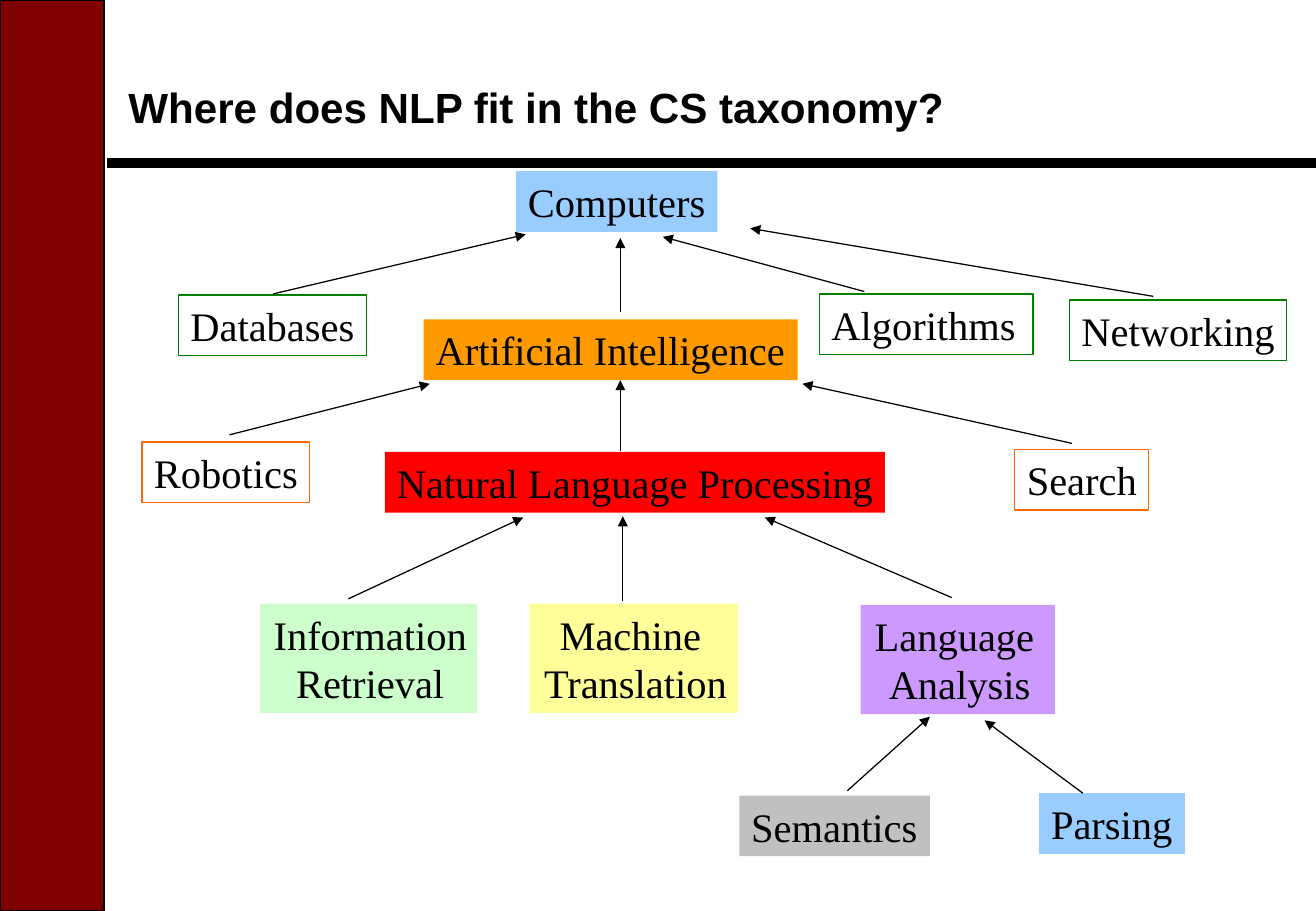
import dataclasses
import typing

import lxml.etree
import pptx
import pptx.dml.color
import pptx.enum.shapes
import pptx.enum.text
import pptx.oxml.ns
import pptx.shapes.base
import pptx.shapes.connector
import pptx.slide
import pptx.util

CELL = pptx.util.Inches(0.1)
COLUMNS, ROWS = 108.4, 75
BOX_ROWS = {1: 5, 2: 9}

COLOURS = {
    "black": "000000", "maroon": "800000", "sky": "99CCFF", "orange": "FF9900",
    "green": "008000", "rust": "FF6600", "red": "FF0000", "mint": "CCFFCC",
    "yellow": "FFFF99", "violet": "CC99FF", "grey": "C0C0C0",
}


@dataclasses.dataclass(frozen=True)
class Topic:
    lines: tuple[str, ...]
    column: float
    row: float
    columns: float
    fill: str | None = None
    outline: str | None = None
    wrap: bool = False


@dataclasses.dataclass(frozen=True)
class Link:
    """A line from a subtopic up to its parent, in grid columns and rows."""
    start: tuple[float, float]
    end: tuple[float, float]


TOPICS = [
    Topic(("Computers",), 42.5, 14.1, 16.6, fill="sky"),
    Topic(("Artificial Intelligence",), 34.9, 26.3, 30.8, fill="orange"),
    Topic(("Algorithms",), 67.5, 24.2, 17.6, outline="green", wrap=True),
    Topic(("Databases",), 14.7, 24.3, 15.5, outline="green"),
    Topic(("Networking",), 88.1, 24.7, 17.9, outline="green"),
    Topic(("Robotics",), 11.7, 36.4, 13.8, outline="rust"),
    Topic(("Search",), 83.6, 37, 11, outline="rust"),
    Topic(("Natural Language Processing",), 31.7, 37.2, 41.2, fill="red"),
    Topic(("Information", "Retrieval"), 21.4, 49.7, 17.9, fill="mint"),
    Topic(("Machine ", "Translation"), 43.6, 49.7, 17.2, fill="yellow"),
    Topic(("Language ", "Analysis"), 70.9, 49.8, 16, fill="violet"),
    Topic(("Semantics",), 60.9, 65.5, 15.7, fill="grey"),
    Topic(("Parsing",), 85.6, 65.3, 12, fill="sky"),
]

LINKS = [
    Link((69.8, 65.1), (76.6, 59)),
    Link((89.2, 65.3), (81.1, 59.3)),
    Link((28.7, 49.3), (43.1, 42.6)),
    Link((51.3, 49.5), (51.3, 42.5)),
    Link((78.4, 49.2), (63, 42.6)),
    Link((18.9, 35.8), (35.4, 31.6)),
    Link((51.1, 37.1), (51.1, 31.3)),
    Link((88.3, 36.5), (66.1, 31.6)),
    Link((22.5, 24.2), (43.3, 19.3)),
    Link((51.1, 25.7), (51.1, 19.6)),
    Link((71.2, 24), (54.6, 19.5)),
    Link((95, 24.4), (61.8, 18.8)),
]


def grid(*cells: float) -> list[pptx.util.Emu]:
    return [pptx.util.Emu(round(cell * CELL)) for cell in cells]


def colour(name: str) -> pptx.dml.color.RGBColor:
    return pptx.dml.color.RGBColor.from_string(COLOURS[name])


def add_rectangle(slide: pptx.slide.Slide, *area: float, fill: str | None = None,
                  outline: str | None = None, width: float = 0.75) -> pptx.shapes.base.BaseShape:
    shape = slide.shapes.add_shape(pptx.enum.shapes.MSO_SHAPE.RECTANGLE, *grid(*area))
    shape.shadow.inherit = False
    if fill:
        shape.fill.solid()
        shape.fill.fore_color.rgb = colour(fill)
    else:
        shape.fill.background()
    if outline:
        shape.line.color.rgb = colour(outline)
        shape.line.width = pptx.util.Pt(width)
    else:
        shape.line.fill.background()
    return shape


def write_text(shape: pptx.shapes.base.BaseShape, lines: typing.Sequence[str], *,
               font: str, size: float, bold: bool = False, wrap: bool = True,
               right_inset: float = 1,
               align: pptx.enum.text.PP_ALIGN = pptx.enum.text.PP_ALIGN.LEFT,
               anchor: pptx.enum.text.MSO_ANCHOR = pptx.enum.text.MSO_ANCHOR.TOP) -> None:
    frame = shape.text_frame
    frame.text = "\n".join(lines)
    frame.word_wrap = wrap
    frame.vertical_anchor = anchor
    frame.auto_size = pptx.enum.text.MSO_AUTO_SIZE.NONE
    frame.margin_left, frame.margin_right = grid(1, right_inset)
    for paragraph in frame.paragraphs:
        paragraph.alignment = align
        paragraph.font.name = font
        paragraph.font.size = pptx.util.Pt(size)
        paragraph.font.bold = bold
        paragraph.font.color.rgb = colour("black")


def add_line(slide: pptx.slide.Slide, start: tuple[float, float], end: tuple[float, float],
             width: float = 0.75, arrow: bool = True) -> pptx.shapes.connector.Connector:
    connector = slide.shapes.add_connector(
        pptx.enum.shapes.MSO_CONNECTOR.STRAIGHT, *grid(*start, *end))
    connector.line.color.rgb = colour("black")
    connector.line.width = pptx.util.Pt(width)
    if arrow:
        lxml.etree.SubElement(connector.line._get_or_add_ln(),
                              pptx.oxml.ns.qn("a:tailEnd"), type="triangle")
    lxml.etree.SubElement(connector._element.spPr, pptx.oxml.ns.qn("a:effectLst"))
    return connector


def add_topic(slide: pptx.slide.Slide, topic: Topic) -> None:
    line_count = len(topic.lines)
    shape = add_rectangle(slide, topic.column, topic.row, topic.columns, BOX_ROWS[line_count],
                          fill=topic.fill, outline=topic.outline)
    alignment = pptx.enum.text.PP_ALIGN
    write_text(shape, topic.lines, font="Times New Roman", size=24, wrap=topic.wrap,
               right_inset=0.7,
               align=alignment.CENTER if line_count > 1 else alignment.LEFT)


def main() -> None:
    presentation = pptx.Presentation()
    presentation.slide_width, presentation.slide_height = grid(COLUMNS, ROWS)
    slide = presentation.slides.add_slide(presentation.slide_layouts[6])

    add_rectangle(slide, 0, 0, 8.6, ROWS, fill="maroon", outline="black", width=1)
    add_line(slide, (8.8, 13.4), (COLUMNS, 13.4), width=6, arrow=False)
    title = slide.shapes.add_textbox(*grid(9.6, 4.6, 98.8, 8.3))
    write_text(title, ["Where does NLP fit in the CS taxonomy?"], font="Arial", size=25, bold=True,
               align=pptx.enum.text.PP_ALIGN.JUSTIFY, anchor=pptx.enum.text.MSO_ANCHOR.MIDDLE)

    for topic in TOPICS:
        add_topic(slide, topic)
    for link in LINKS:
        add_line(slide, link.start, link.end)
    presentation.save("out.pptx")


if __name__ == "__main__":
    main()
